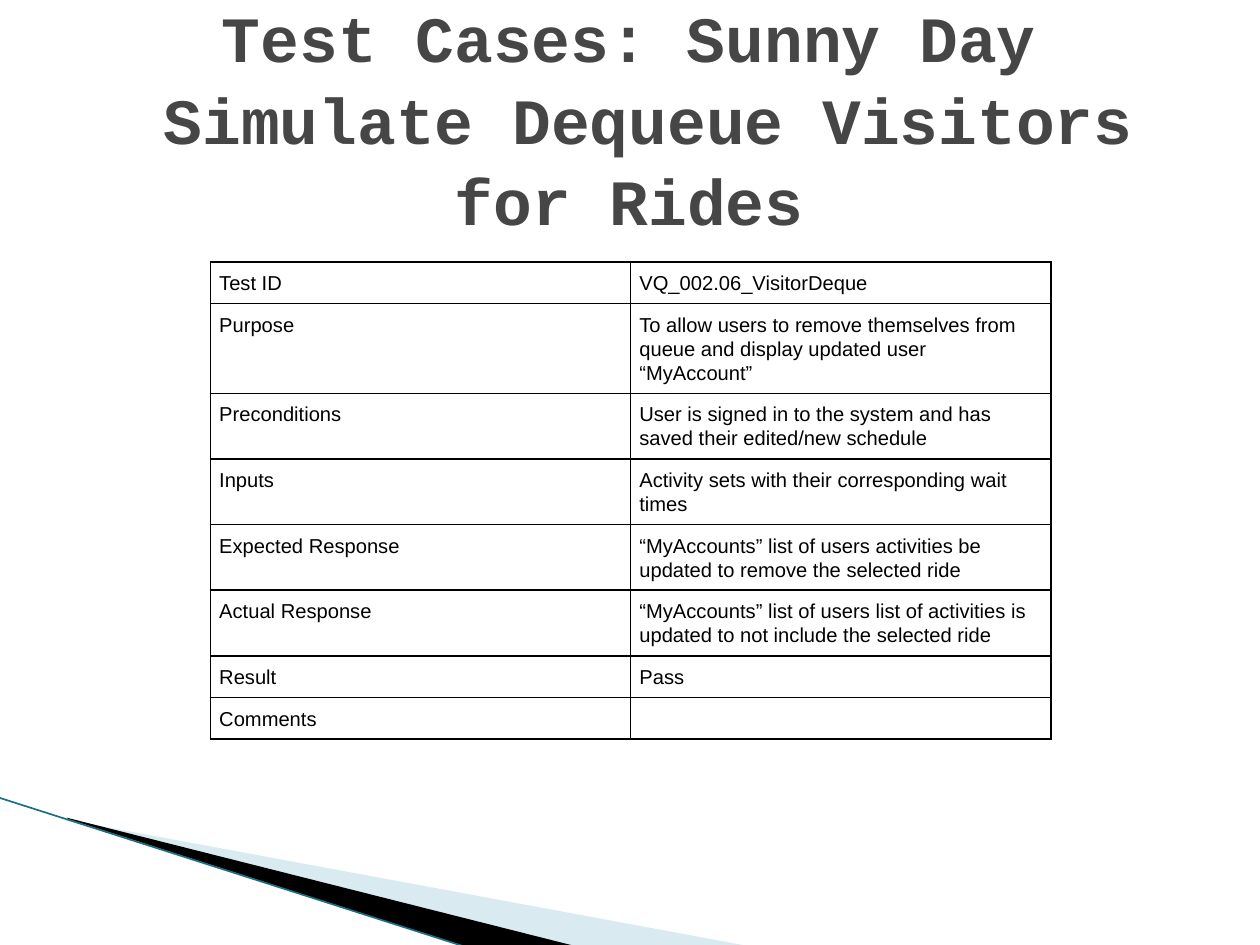
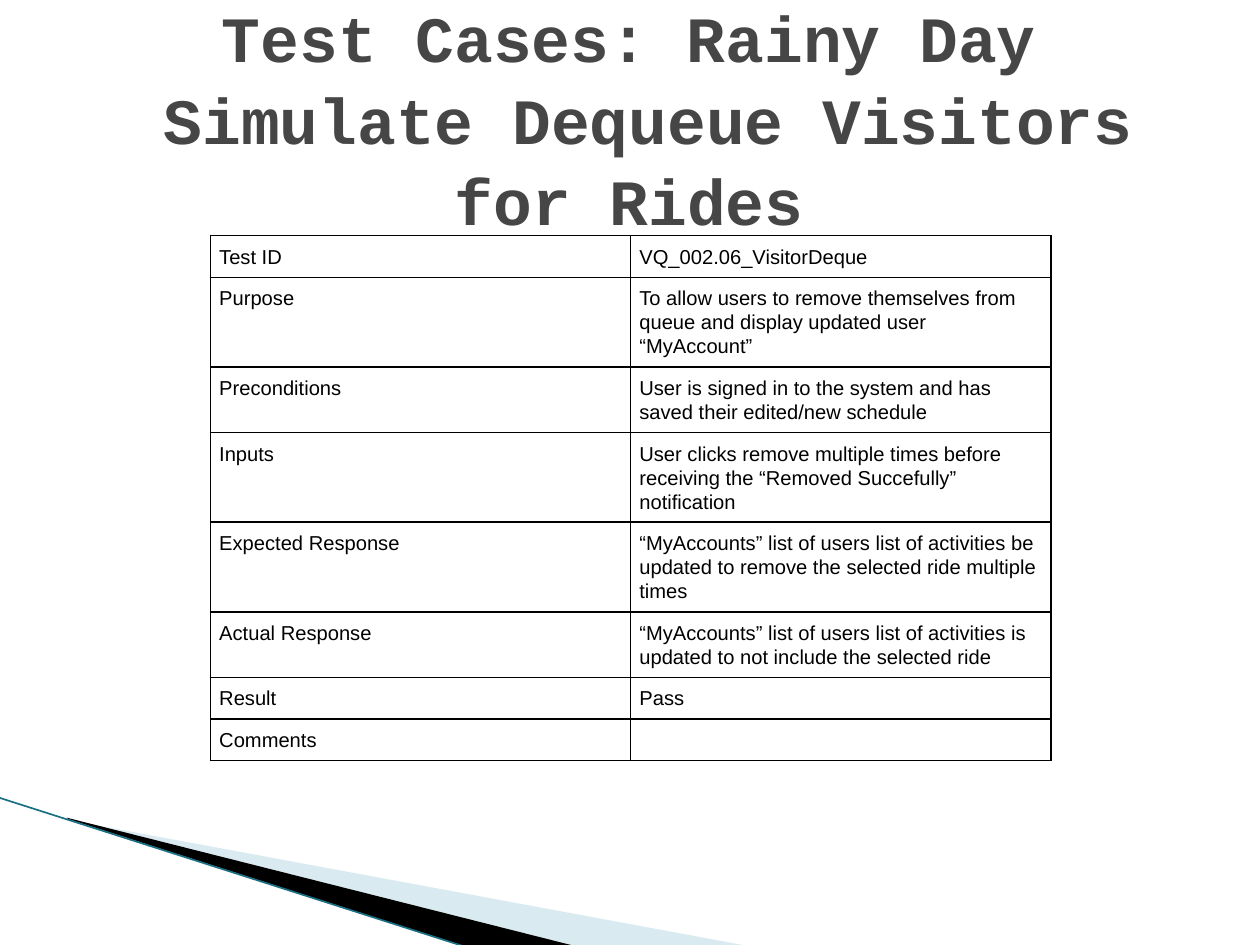
from dataclasses import dataclass

from lxml import etree
from pptx import Presentation
from pptx.dml.color import RGBColor
from pptx.enum.shapes import MSO_CONNECTOR
from pptx.enum.text import MSO_ANCHOR, MSO_AUTO_SIZE, PP_ALIGN
from pptx.oxml.ns import qn
from pptx.util import Inches, Pt

LINE = MSO_CONNECTOR.STRAIGHT
MIDDLE = MSO_ANCHOR.MIDDLE
CENTER = PP_ALIGN.CENTER
NO_FIT = MSO_AUTO_SIZE.NONE

BLACK, GRAY, PALE, TEAL = "000000", "464646", "A0CBDC", "1A7083"
SIDES = ("a:lnL", "a:lnR", "a:lnT", "a:lnB")
LABELS = ("Test ID", "Purpose", "Preconditions", "Inputs", "Expected Response",
          "Actual Response", "Result", "Comments")
PAD, LEAD = 0.07, 0.19
SIZE = 11.5


@dataclass
class Wedge:
    points: tuple[tuple[float, float], ...]
    color: str
    alpha: int = 100


@dataclass
class Entry:
    text: str
    lines: int = 1


@dataclass
class Case:
    title: str
    top: float
    entries: tuple[Entry, ...]


WEDGES = (
    Wedge(((0.55, 6.51), (5.95, 7.51), (4.56, 7.51), (0.55, 6.5)), PALE, 40),
    Wedge(((0.53, 6.49), (4.57, 7.51), (3.72, 7.52), (0.54, 6.5)), BLACK),
)

TEST = Entry("VQ_002.06_VisitorDeque")
GOAL = Entry("To allow users to remove themselves from queue and display "
             "updated user “MyAccount”", 3)
SETUP = Entry("User is signed in to the system and has saved their "
              "edited/new schedule", 2)
ACTUAL = Entry("“MyAccounts” list of users list of activities is updated "
               "to not include the selected ride", 2)
END = (ACTUAL, Entry("Pass"), Entry(""))

CASES = (
    Case("Sunny Day", 2.08, (
        TEST, GOAL, SETUP,
        Entry("Activity sets with their corresponding wait times", 2),
        Entry("“MyAccounts” list of users activities be updated to remove "
              "the selected ride", 2),
        *END)),
    Case("Rainy Day", 1.87, (
        TEST, GOAL, SETUP,
        Entry("User clicks remove multiple times before receiving the "
              "“Removed Succefully” notification", 3),
        Entry("“MyAccounts” list of users list of activities be updated to "
              "remove the selected ride multiple times", 3),
        *END)),
)


def paint(color: str) -> RGBColor:
    return RGBColor.from_string(color)


def add_wedge(slide, wedge: Wedge):
    points = [(Inches(x), Inches(y)) for x, y in wedge.points]
    pen = slide.shapes.build_freeform(*points[0])
    pen.add_line_segments(points[1:])
    shape = pen.convert_to_shape()
    shape.shadow.inherit = False
    shape.line.fill.background()
    shape.fill.solid()
    shape.fill.fore_color.rgb = paint(wedge.color)
    if wedge.alpha < 100:
        tint = shape.element.spPr.find(".//" + qn("a:srgbClr"))
        etree.SubElement(tint, qn("a:alpha"), val=str(wedge.alpha * 1000))
    return shape


def add_edge(slide):
    edge = slide.shapes.add_connector(
        LINE, Inches(-0.01), Inches(6.33), Inches(3.71), Inches(7.52))
    edge.line.color.rgb = paint(TEAL)
    edge.line.width = Pt(0.95)
    etree.SubElement(edge.element.spPr, qn("a:effectLst"))
    return edge


def share_band(slide, layout) -> None:
    parts = [add_wedge(slide, wedge) for wedge in WEDGES] + [add_edge(slide)]
    for part in parts:
        layout.shapes.element.append(part.element)


def set_title(slide, name: str) -> None:
    title = slide.shapes.title
    title.left, title.top = Inches(0.33), Inches(0.3)
    title.width, title.height = Inches(9.33), Inches(1.25)
    frame = title.text_frame
    frame.text = f"Test Cases: {name}\v Simulate Dequeue Visitors for Rides"
    frame.word_wrap = True
    frame.auto_size = NO_FIT
    frame.vertical_anchor = MIDDLE
    para = frame.paragraphs[0]
    para.alignment = CENTER
    para.line_spacing = 1.05
    font = para.font
    font.name, font.size, font.bold = "Courier New", Pt(36.9), True
    font.color.rgb = paint(GRAY)


def set_cell(cell, text: str) -> None:
    cell.text = text
    cell.margin_left = cell.margin_right = Inches(PAD)
    cell.margin_top = cell.margin_bottom = Inches(PAD)
    para = cell.text_frame.paragraphs[0]
    para.line_spacing = 1.07
    para.font.name, para.font.size = "Arial", Pt(SIZE)
    para.font.color.rgb = paint(BLACK)
    if not text:
        etree.SubElement(cell.text_frame._txBody.p_lst[0],
                         qn("a:endParaRPr"), sz=str(int(SIZE * 100)))
    props = cell._tc.get_or_add_tcPr()
    for side in SIDES:
        rule = etree.SubElement(props, qn(side), w=str(Pt(1)))
        fill = etree.SubElement(rule, qn("a:solidFill"))
        etree.SubElement(fill, qn("a:srgbClr"), val=BLACK)
    cell.fill.background()


def add_grid(slide, case: Case) -> None:
    highs = [2 * PAD + LEAD * entry.lines for entry in case.entries]
    grid = slide.shapes.add_table(
        len(LABELS), 2, Inches(1.67), Inches(case.top),
        Inches(6.67), Inches(sum(highs))).table
    grid.first_row = grid.horz_banding = False
    for row, high, label, entry in zip(grid.rows, highs, LABELS, case.entries):
        row.height = Inches(high)
        for cell, text in zip(row.cells, (label, entry.text)):
            set_cell(cell, text)


def main() -> None:
    deck = Presentation()
    deck.slide_width, deck.slide_height = Inches(10), Inches(7.5)
    layout = deck.slide_layouts[5]
    for index, case in enumerate(CASES):
        slide = deck.slides.add_slide(layout)
        if index == 0:
            share_band(slide, layout)
        set_title(slide, case.title)
        add_grid(slide, case)
    deck.save("out.pptx")


if __name__ == "__main__":
    main()
